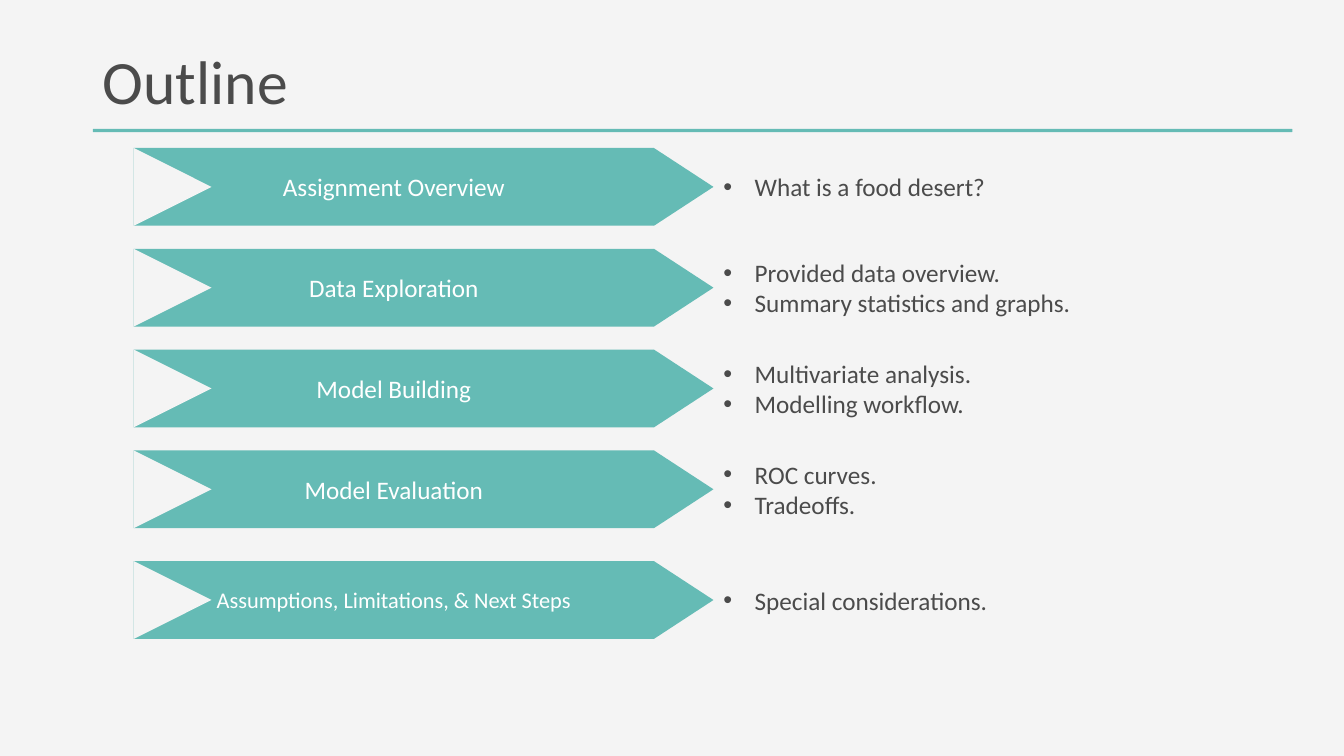
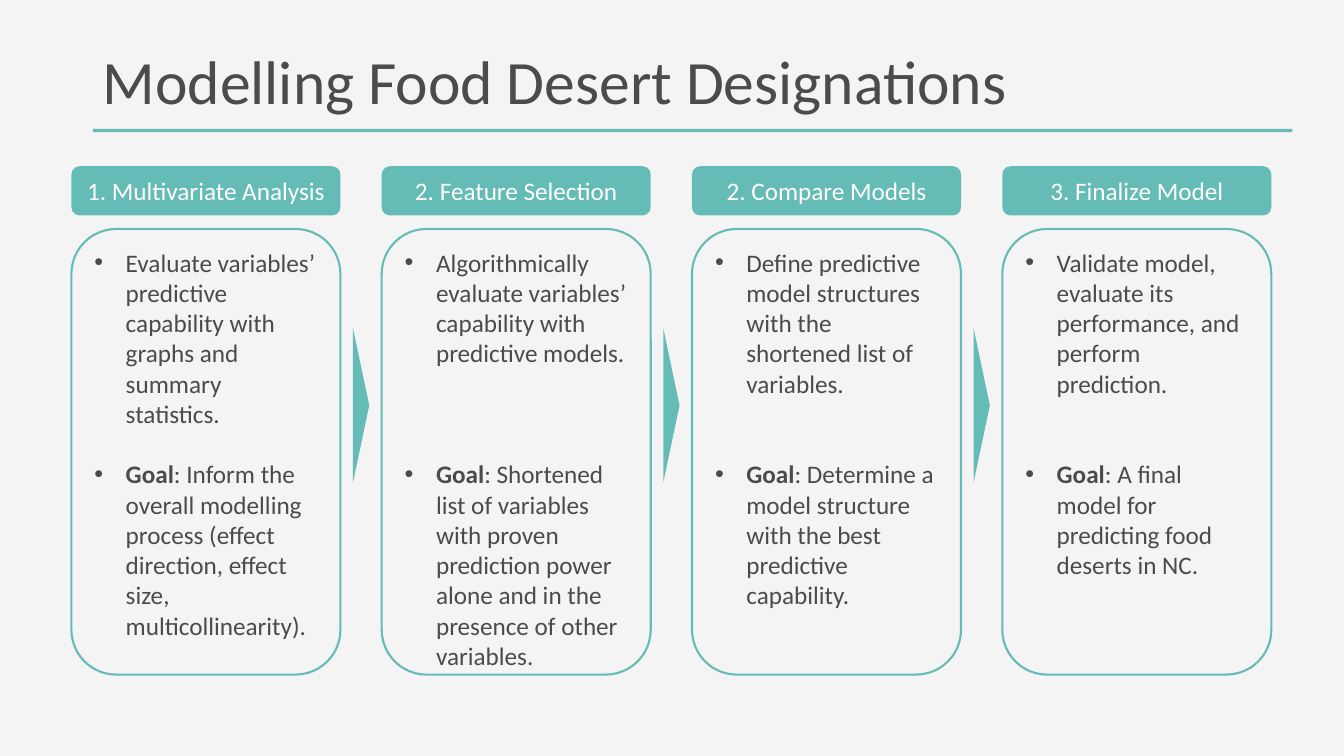
from lxml.etree import SubElement
from pptx import Presentation
from pptx.dml.color import RGBColor
from pptx.enum.shapes import MSO_SHAPE as Preset
from pptx.enum.text import MSO_ANCHOR as Anchor, PP_ALIGN as Align
from pptx.oxml.ns import qn
from pptx.util import Cm, Pt

# Content
OUTLINE_TITLE = "Outline"
OUTLINE = [  # heading, heading size, points
    ("Assignment Overview", 18, ["What is a food desert?"]),
    ("Data Exploration", 18,
     ["Provided data overview.", "Summary statistics and graphs."]),
    ("Model Building", 18, ["Multivariate analysis.", "Modelling workflow."]),
    ("Model Evaluation", 18, ["ROC curves.", "Tradeoffs."]),
    ("Assumptions, Limitations, & Next Steps", 16, ["Special considerations."]),
]

STEPS_TITLE = "Modelling Food Desert Designations"
STEPS = [  # heading, task, lines of space before the goal, goal
    ("1. Multivariate Analysis",
     "Evaluate variables’ predictive capability with graphs and summary statistics.", 1,
     "Inform the overall modelling process (effect direction, effect size, "
     "multicollinearity)."),
    ("2. Feature Selection",
     "Algorithmically evaluate variables’ capability with predictive models.", 3,
     "Shortened list of variables with proven prediction power alone and in the "
     "presence of other variables."),
    ("2. Compare Models",
     "Define predictive model structures with the shortened list of variables.", 2,
     "Determine a model structure with the best predictive capability."),
    ("3. Finalize Model",
     "Validate model, evaluate its performance, and perform prediction.", 2,
     "A final model for predicting food deserts in NC."),
]

# Shared style
FONT = "Calibri"
TEAL, INK, PAPER, WHITE = "65BBB5", "4B4B4B", "F4F4F4", "FFFFFF"
BODY_SIZE = 18
LINE_PITCH = 21.6  # points, one line of body text
INDENT = Cm(0.79)

# Outline rows, in cm
BAR_LEFT, BAR_TOP, BAR_WIDTH, BAR_HEIGHT = 3.37, 3.73, 13.11, 1.96
BAR_PITCH, LAST_BAR_EXTRA = 2.54, 0.25
TIP_WIDTH = 1.5
POINTS_LEFT, POINTS_WIDTH = 17.98, 12.52

# Step columns, in cm
COLUMN_LEFT, COLUMN_WIDTH, COLUMN_PITCH = 1.8, 6.78, 7.82
HEADER_TOP, HEADER_HEIGHT = 4.19, 1.24
CARD_TOP, CARD_HEIGHT = 5.77, 11.23
ARROW_TOP, ARROW_WIDTH, ARROW_HEIGHT = 8.27, 0.41, 3.89


def color(value):
    return RGBColor.from_string(value)


def add_part(slide, preset, left, top, width, height, fill=None, line=None):
    shape = slide.shapes.add_shape(preset, Cm(left), Cm(top), Cm(width), Cm(height))
    shape.shadow.inherit = False
    if fill:
        shape.fill.solid()
        shape.fill.fore_color.rgb = color(fill)
    else:
        shape.fill.background()
    if line:
        shape.line.color.rgb = color(line)
        shape.line.width = Pt(1.5)
    else:
        shape.line.fill.background()
    return shape


def add_right_triangle(slide, left, top, width, height, fill):
    """Fill the given box with a triangle that points right."""
    offset = (width - height) / 2
    shape = add_part(slide, Preset.ISOSCELES_TRIANGLE,
                     left + offset, top - offset, height, width, fill)
    shape.rotation = 90


def add_text_box(slide, left, top, width, height):
    return slide.shapes.add_textbox(Cm(left), Cm(top), Cm(width), Cm(height))


def add_bullet(paragraph):
    properties = paragraph._p.get_or_add_pPr()
    properties.set("marL", str(INDENT))
    properties.set("indent", str(-INDENT))
    SubElement(properties, qn("a:buFont")).set("typeface", "Arial")
    SubElement(properties, qn("a:buChar")).set("char", "•")


def write(shape, *paragraphs, size=BODY_SIZE, ink=INK, align=Align.LEFT,
          anchor=Anchor.MIDDLE, bullets=False, line_spacing=None, gap=0):
    """Each paragraph is a string, or a (bold lead, rest) pair; gap separates them."""
    frame = shape.text_frame
    frame.word_wrap = True
    frame.vertical_anchor = anchor
    for index, content in enumerate(paragraphs):
        paragraph = frame.add_paragraph() if index else frame.paragraphs[0]
        paragraph.alignment = align
        if line_spacing:
            paragraph.line_spacing = line_spacing
        if index and gap:
            paragraph.space_before = Pt(gap)
        if bullets:
            add_bullet(paragraph)
        lead, rest = ("", content) if isinstance(content, str) else content
        for text, bold in ((lead, True), (rest, False)):
            if text:
                run = paragraph.add_run()
                run.text = text
                run.font.name = FONT
                run.font.size = Pt(size)
                run.font.bold = bold
                run.font.color.rgb = color(ink)


def add_titled_slide(presentation, title):
    slide = presentation.slides.add_slide(presentation.slide_layouts[6])
    add_part(slide, Preset.ROUNDED_RECTANGLE, 2.34, 3.25, 30.23, 0.08, TEAL)
    write(add_text_box(slide, 2.34, 1.02, 29.21, 2.24), title,
          size=44, line_spacing=0.9)
    return slide


def build_outline(presentation):
    slide = add_titled_slide(presentation, OUTLINE_TITLE)
    for index, (heading, size, points) in enumerate(OUTLINE):
        top = BAR_TOP + index * BAR_PITCH
        if index == len(OUTLINE) - 1:
            top += LAST_BAR_EXTRA
        # Ribbon with a notch on the left and a tip on the right
        bar = add_part(slide, Preset.RECTANGLE, BAR_LEFT, top,
                       BAR_WIDTH, BAR_HEIGHT, TEAL)
        write(bar, heading, size=size, ink=WHITE, align=Align.CENTER)
        add_right_triangle(slide, BAR_LEFT, top, BAR_HEIGHT, BAR_HEIGHT, PAPER)
        add_right_triangle(slide, BAR_LEFT + BAR_WIDTH, top,
                           TIP_WIDTH, BAR_HEIGHT, TEAL)
        # Points beside the ribbon
        box = add_text_box(slide, POINTS_LEFT, top, POINTS_WIDTH, BAR_HEIGHT)
        write(box, *points, bullets=True)


def build_steps(presentation):
    slide = add_titled_slide(presentation, STEPS_TITLE)
    column_gap = COLUMN_PITCH - COLUMN_WIDTH
    for index, (heading, task, space_lines, goal) in enumerate(STEPS):
        left = COLUMN_LEFT + index * COLUMN_PITCH
        header = add_part(slide, Preset.ROUNDED_RECTANGLE, left, HEADER_TOP,
                          COLUMN_WIDTH, HEADER_HEIGHT, TEAL)
        write(header, heading, ink=WHITE, align=Align.CENTER)
        card = add_part(slide, Preset.ROUNDED_RECTANGLE, left, CARD_TOP,
                        COLUMN_WIDTH, CARD_HEIGHT, line=TEAL)
        write(card, task, ("Goal", ": " + goal), anchor=Anchor.TOP,
              bullets=True, gap=space_lines * LINE_PITCH)
        # Arrow centred in the gap before each later column
        if index:
            add_right_triangle(slide, left - (column_gap + ARROW_WIDTH) / 2,
                               ARROW_TOP, ARROW_WIDTH, ARROW_HEIGHT, TEAL)


def main():
    presentation = Presentation()
    presentation.slide_width = Cm(33.87)
    presentation.slide_height = Cm(19.05)
    background = presentation.slide_master.background.fill
    background.solid()
    background.fore_color.rgb = color(PAPER)
    build_outline(presentation)
    build_steps(presentation)
    presentation.save("out.pptx")


if __name__ == "__main__":
    main()
